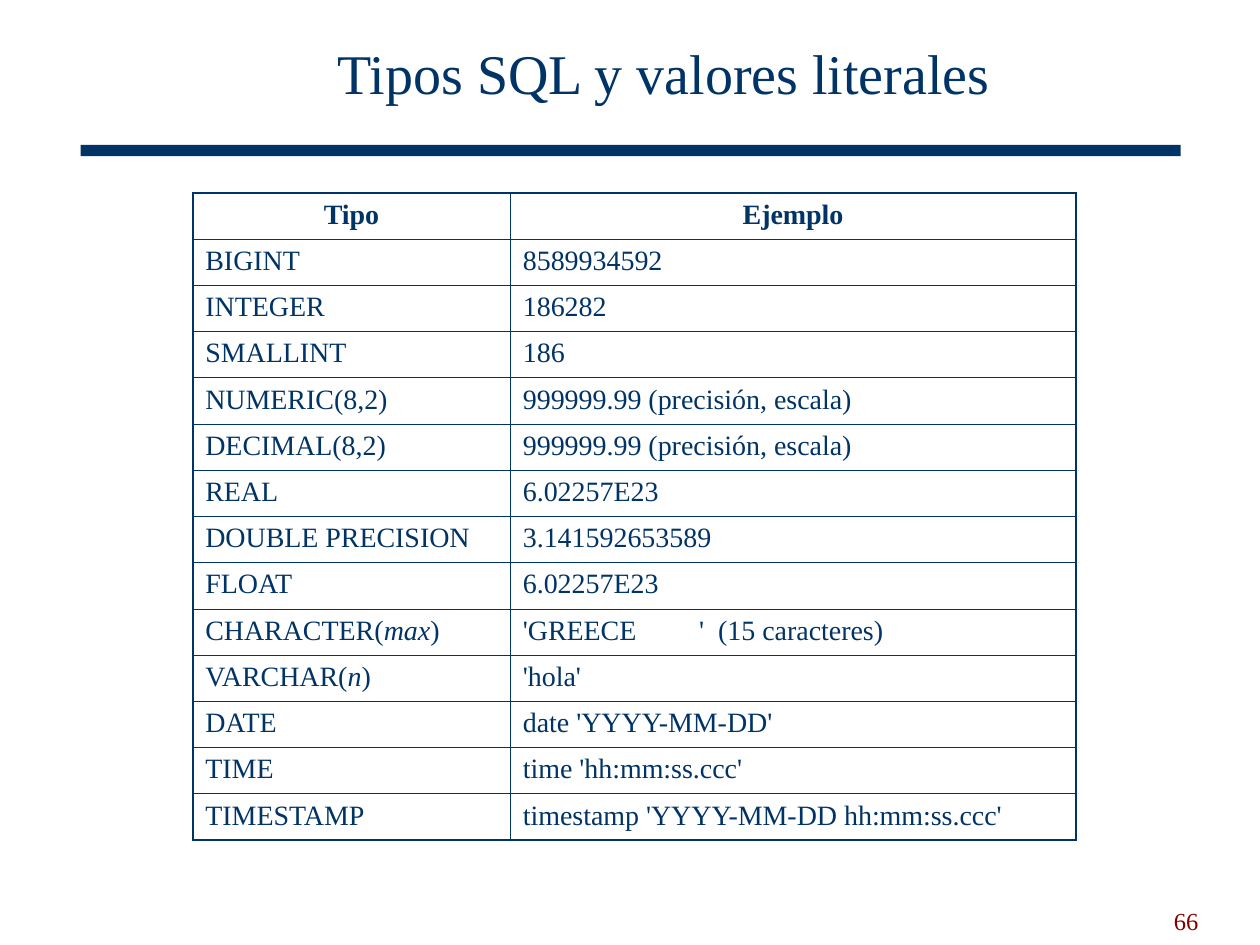
import pptx
import pptx.util
import pptx.dml.color
import pptx.enum.shapes
import pptx.enum.text
import pptx.oxml
import pptx.oxml.ns

COLORS = {"navy": "003366", "maroon": "800000", "white": "FFFFFF"}
FONT = "Times New Roman"
ALIGN = pptx.enum.text.PP_ALIGN
ANCHOR = pptx.enum.text.MSO_ANCHOR

type_rows = [
    (["Tipo"], "Ejemplo"),
    (["BIGINT"], "8589934592"),
    (["INTEGER"], "186282"),
    (["SMALLINT"], "186"),
    (["NUMERIC(8,2)"], "999999.99 (precisión, escala)"),
    (["DECIMAL(8,2)"], "999999.99 (precisión, escala)"),
    (["REAL"], "6.02257E23"),
    (["DOUBLE PRECISION"], "3.141592653589"),
    (["FLOAT"], "6.02257E23"),
    (["CHARACTER(", "max", ")"], "'GREECE         '  (15 caracteres)"),
    (["VARCHAR(", "n", ")"], "'hola'"),
    (["DATE"], "date 'YYYY-MM-DD'"),
    (["TIME"], "time 'hh:mm:ss.ccc'"),
    (["TIMESTAMP"], "timestamp 'YYYY-MM-DD hh:mm:ss.ccc'"),
]


def add_run(paragraph, text, size, color="navy", bold=False, italic=False):
    run = paragraph.add_run()
    run.text = text
    run.font.name = FONT
    run.font.size = pptx.util.Pt(size)
    run.font.bold = bold
    run.font.italic = italic
    run.font.color.rgb = pptx.dml.color.RGBColor.from_string(COLORS[color])


def add_border(cell, side, width):
    line = pptx.oxml.parse_xml(
        f'<a:{side} {pptx.oxml.ns.nsdecls("a")} w="{pptx.util.Pt(width)}">'
        f'<a:solidFill><a:srgbClr val="{COLORS["navy"]}"/></a:solidFill></a:{side}>'
    )
    cell._tc.get_or_add_tcPr().append(line)


presentation = pptx.Presentation()
presentation.slide_width = pptx.util.Inches(10)
presentation.slide_height = pptx.util.Inches(7.5)
inch = pptx.util.Inches
slide = presentation.slides.add_slide(presentation.slide_layouts[5])
slide.background.fill.solid()
slide.background.fill.fore_color.rgb = pptx.dml.color.RGBColor.from_string(COLORS["white"])

title = slide.shapes.title
title.left, title.top, title.width, title.height = map(inch, (1.23, 0.14, 8.08, 0.94))
title.text_frame.vertical_anchor = ANCHOR.MIDDLE
paragraph = title.text_frame.paragraphs[0]
paragraph.alignment = ALIGN.CENTER
paragraph.line_spacing = 0.85
add_run(paragraph, "Tipos SQL y valores literales", 32)

rule = slide.shapes.add_shape(
    pptx.enum.shapes.MSO_SHAPE.RECTANGLE, inch(0.64), inch(1.15), inch(8.73), inch(0.09)
)
rule.shadow.inherit = False
rule.fill.solid()
rule.fill.fore_color.rgb = pptx.dml.color.RGBColor.from_string(COLORS["navy"])
rule.line.fill.background()

page_number = slide.shapes.add_textbox(inch(7.21), inch(6.97), inch(2.4), inch(0.5))
page_number.text_frame.word_wrap = True
page_number.text_frame.vertical_anchor = ANCHOR.BOTTOM
paragraph = page_number.text_frame.paragraphs[0]
paragraph.alignment = ALIGN.RIGHT
add_run(paragraph, "66", 14, "maroon")

last_row = len(type_rows) - 1
table = slide.shapes.add_table(
    len(type_rows), 2, inch(1.53), inch(1.53), inch(7.01), inch(5.13)
).table
table.first_row = False
table.horz_banding = False
table.columns[0].width = inch(2.52)
table.columns[1].width = inch(4.49)

for row_index, (type_parts, example) in enumerate(type_rows):
    table.rows[row_index].height = inch(5.13 / len(type_rows))
    for column_index, parts in enumerate((type_parts, [example])):
        cell = table.cell(row_index, column_index)
        outer_sides = {
            "lnL": column_index == 0,
            "lnR": column_index == 1,
            "lnT": row_index == 0,
            "lnB": row_index == last_row,
        }
        for side, is_outer in outer_sides.items():
            add_border(cell, side, 1.08 if is_outer else 0.45)
        cell.fill.background()
        paragraph = cell.text_frame.paragraphs[0]
        paragraph.alignment = ALIGN.CENTER if row_index == 0 else ALIGN.LEFT
        for part_index, part in enumerate(parts):
            add_run(paragraph, part, 16, bold=row_index == 0, italic=part_index == 1)

presentation.save("out.pptx")
